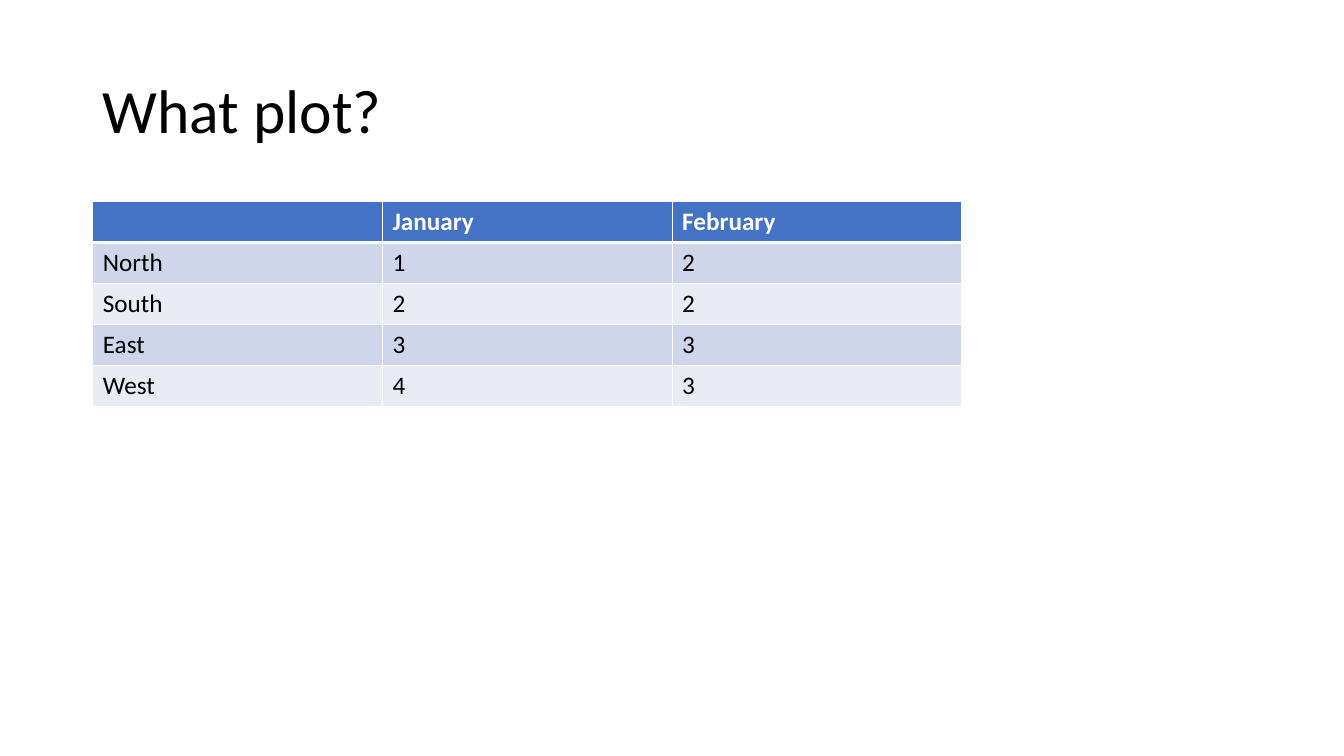
from pptx import Presentation
from pptx.dml.color import RGBColor
from pptx.enum.text import MSO_ANCHOR
from pptx.oxml import parse_xml
from pptx.oxml.ns import nsdecls
from pptx.util import Inches, Pt

COLORS = {"text": "000000", "white": "FFFFFF", "header": "4472C4",
          "band_dark": "CFD5EA", "band_light": "E9EBF5"}
FONT = "Calibri"


def add_run(p, text, size, color, bold=False):
    r = p.add_run()
    r.text = text
    r.font.name = FONT
    r.font.size = Pt(size)
    r.font.bold = bold
    r.font.color.rgb = RGBColor.from_string(COLORS[color])


def add_border(cell, side, width):
    cell._tc.get_or_add_tcPr().append(parse_xml(
        f'<a:ln{side} {nsdecls("a")} w="{Pt(width)}"><a:solidFill>'
        f'<a:srgbClr val="{COLORS["white"]}"/></a:solidFill></a:ln{side}>'))


prs = Presentation()
prs.slide_width, prs.slide_height = Inches(13.33), Inches(7.5)
s = prs.slides.add_slide(prs.slide_layouts[6])

# Title
tf = s.shapes.add_textbox(Inches(0.92), Inches(0.4), Inches(11.5), Inches(1.45)).text_frame
tf.word_wrap = True
tf.vertical_anchor = MSO_ANCHOR.MIDDLE
p = tf.paragraphs[0]
p.line_spacing = 0.9
add_run(p, "What plot?", 44, "text")

# Table of regions by month
rows = [["", "January ", "February"],
        ["North", "1", "2"],
        ["South", "2", "2"],
        ["East", "3", "3"],
        ["West", "4", "3"]]
table = s.shapes.add_table(len(rows), len(rows[0]), Inches(0.92), Inches(2),
                           Inches(8.62), Inches(2.03)).table

for i, row in enumerate(rows):
    header = i == 0
    fill = "header" if header else "band_dark" if i % 2 else "band_light"
    for j, text in enumerate(row):
        cell = table.cell(i, j)
        # The line under the header is thicker than the rest
        for side, width in (("L", 1), ("R", 1), ("T", 3 if i == 1 else 1),
                            ("B", 3 if header else 1)):
            add_border(cell, side, width)
        cell.fill.solid()
        cell.fill.fore_color.rgb = RGBColor.from_string(COLORS[fill])
        if text:
            add_run(cell.text_frame.paragraphs[0], text, 18,
                    "white" if header else "text", header)

prs.save("out.pptx")
